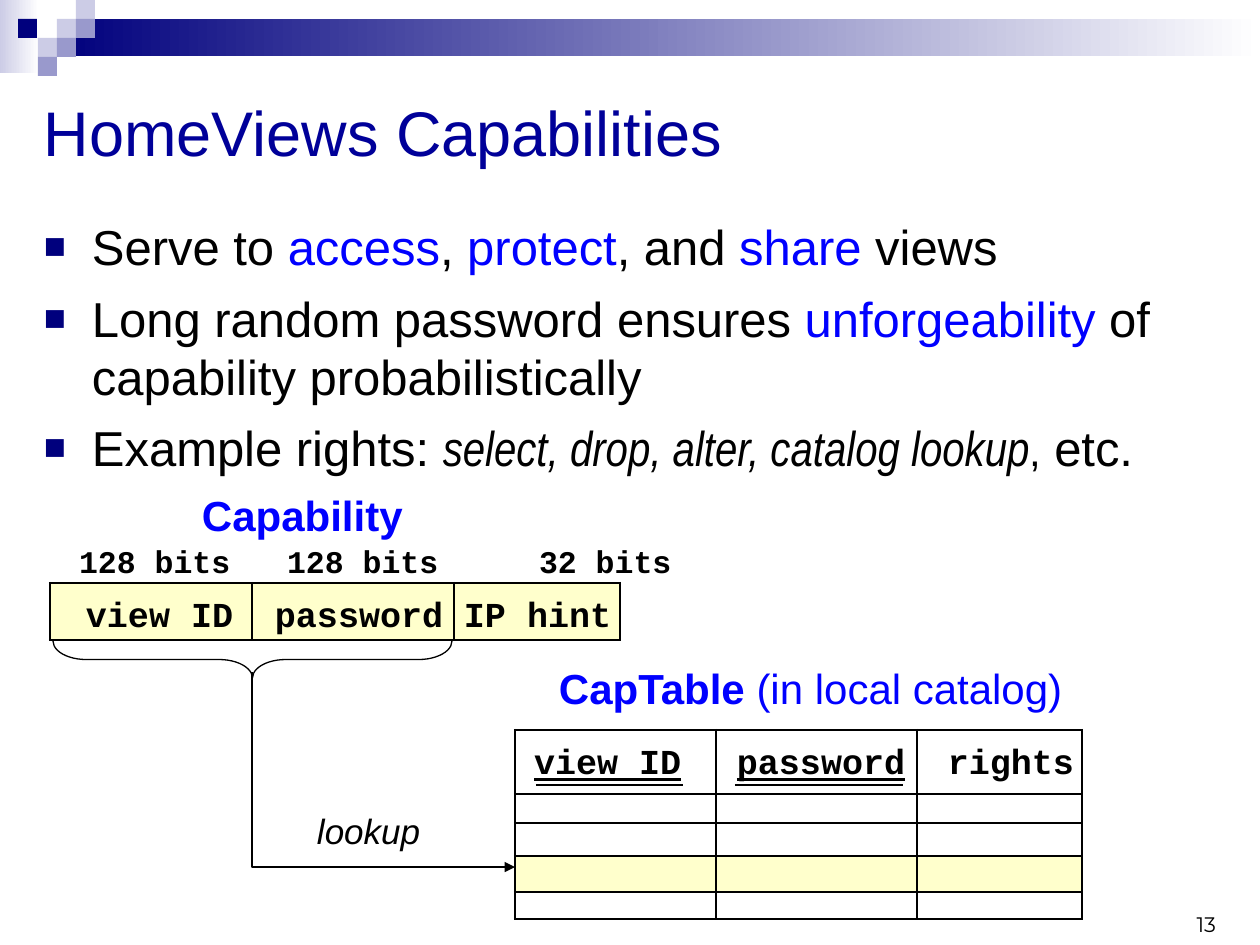
from dataclasses import dataclass
from typing import Optional

from lxml.etree import SubElement
from pptx import Presentation
from pptx.dml.color import RGBColor
from pptx.enum.shapes import MSO_CONNECTOR as Connector, MSO_SHAPE as Preset
from pptx.enum.text import MSO_ANCHOR as Anchor, PP_ALIGN as Align
from pptx.oxml import parse_xml
from pptx.oxml.ns import nsdecls, qn
from pptx.util import Pt

EMU_PER_PX = 914400 / 126
BLACK = RGBColor(0x00, 0x00, 0x00)
WHITE = RGBColor(0xFF, 0xFF, 0xFF)
NAVY = RGBColor(0x00, 0x00, 0x7D)
TITLE_BLUE = RGBColor(0x00, 0x00, 0x99)
BLUE = RGBColor(0x00, 0x00, 0xFF)
LAVENDER = RGBColor(0xCC, 0xCC, 0xE6)
VIOLET = RGBColor(0x99, 0x99, 0xCC)
CREAM = RGBColor(0xFF, 0xFF, 0xCC)


def px(length: float) -> int:
    return round(length * EMU_PER_PX)


@dataclass
class Run:
    text: str
    size: int = 28
    color: RGBColor = BLACK
    name: str = "Arial"
    bold: bool = False
    italic: bool = False
    underline: bool = False


@dataclass
class Label:
    box: tuple
    runs: list
    align: Align = Align.LEFT


@dataclass
class Grid:
    left: int
    top: int
    widths: list
    heights: list
    texts: list
    indents: list
    text_drop: int
    filled_row: int
    underlined: tuple = ()


def set_format(target, values: dict) -> None:
    for key, value in values.items():
        setattr(target, key, value)


def write_runs(paragraph, runs: list) -> None:
    for item in runs:
        run = paragraph.add_run()
        run.text = item.text
        set_format(run.font, {"name": item.name, "size": Pt(item.size), "bold": item.bold,
                              "italic": item.italic, "underline": item.underline})
        run.font.color.rgb = item.color


def add_box(slide, box: tuple):
    frame = slide.shapes.add_textbox(*map(px, box)).text_frame
    set_format(frame, {"word_wrap": True, "vertical_anchor": Anchor.TOP, "margin_left": 0,
                       "margin_right": 0, "margin_top": 0, "margin_bottom": 0})
    return frame


def add_label(slide, label: Label) -> None:
    paragraph = add_box(slide, label.box).paragraphs[0]
    paragraph.alignment = label.align
    write_runs(paragraph, label.runs)


def add_bullets(slide, box: tuple, items: list) -> None:
    frame = add_box(slide, box)
    for index, runs in enumerate(items):
        paragraph = frame.add_paragraph() if index else frame.paragraphs[0]
        paragraph.space_before = Pt(7 if index else 0)
        properties = paragraph._p.get_or_add_pPr()
        properties.set("marL", str(px(48)))
        properties.set("indent", str(px(-48)))
        color = SubElement(properties, qn("a:buClr"))
        SubElement(color, qn("a:srgbClr"), val=str(NAVY))
        SubElement(properties, qn("a:buSzPct"), val="75000")
        SubElement(properties, qn("a:buFont"), typeface="Arial")
        SubElement(properties, qn("a:buChar"), char="■")
        write_runs(paragraph, runs)


def add_block(slide, box: tuple, color: RGBColor, fade_to: Optional[RGBColor] = None) -> None:
    shape = slide.shapes.add_shape(Preset.RECTANGLE, *map(px, box))
    shape.shadow.inherit = False
    shape.line.fill.background()
    if fade_to is None:
        shape.fill.solid()
        shape.fill.fore_color.rgb = color
        return
    shape.fill.gradient()
    shape.fill.gradient_angle = 0
    for stop, stop_color in zip(shape.fill.gradient_stops, (color, fade_to)):
        stop.color.rgb = stop_color


def style_outline(shape) -> None:
    shape.shadow.inherit = False
    shape.fill.background()
    shape.line.color.rgb = BLACK
    shape.line.width = Pt(0.75)


def add_rule(slide, left: int, right: int, y: int) -> None:
    rule = slide.shapes.add_connector(Connector.STRAIGHT, px(left), px(y), px(right), px(y))
    rule.line.color.rgb = BLACK
    rule.line.width = Pt(1.25)
    SubElement(rule._element.spPr, qn("a:effectLst"))


def add_borders(cell) -> None:
    properties = cell._tc.get_or_add_tcPr()
    for index, side in enumerate(("lnL", "lnR", "lnT", "lnB")):
        properties.insert(index, parse_xml(
            f'<a:{side} {nsdecls("a")} w="{Pt(1.5)}"><a:solidFill>'
            f'<a:srgbClr val="{BLACK}"/></a:solidFill></a:{side}>'))


def add_grid(slide, grid: Grid) -> None:
    table = slide.shapes.add_table(
        len(grid.heights), len(grid.widths), px(grid.left), px(grid.top),
        px(sum(grid.widths)), px(sum(grid.heights))).table
    set_format(table, {"first_row": False, "horz_banding": False})
    for column, width in zip(table.columns, grid.widths):
        column.width = px(width)
    for row_index, height in enumerate(grid.heights):
        table.rows[row_index].height = px(height)
        for index, (text, indent) in enumerate(zip(grid.texts, grid.indents)):
            cell = table.cell(row_index, index)
            header = row_index == 0
            set_format(cell, {"margin_left": px(indent), "margin_right": 0, "margin_bottom": 0,
                              "margin_top": px(grid.text_drop) if header else 0,
                              "vertical_anchor": Anchor.MIDDLE})
            paragraph = cell.text_frame.paragraphs[0]
            if header:
                write_runs(paragraph, [Run(text, 20, name="Courier New", bold=True,
                                           underline=text in grid.underlined)])
            else:
                SubElement(paragraph._p, qn("a:endParaRPr"), sz="600")
            if row_index == grid.filled_row:
                cell.fill.solid()
                cell.fill.fore_color.rgb = CREAM
            else:
                cell.fill.background()
            add_borders(cell)


def bits(left: int, text: str) -> Label:
    return Label((left, 542, 160, 36), [Run(text, 18, name="Courier New", bold=True)])


BULLETS = [
    [Run("Serve to "), Run("access", color=BLUE), Run(", "), Run("protect", color=BLUE),
     Run(", and "), Run("share", color=BLUE), Run(" views")],
    [Run("Long random password ensures "), Run("unforgeability", color=BLUE),
     Run(" of capability probabilistically")],
    [Run("Example rights: "),
     Run("select, drop, alter, catalog lookup", name="Arial Narrow", italic=True),
     Run(",", 24), Run(" etc.")],
]
LABELS = [
    Label((44, 94, 1182, 76), [Run("HomeViews Capabilities", 36, TITLE_BLUE)]),
    Label((202, 490, 220, 50), [Run("Capability", 24, BLUE, bold=True)]),
    bits(79, "128 bits"), bits(287, "128 bits"), bits(539, "32 bits"),
    Label((559, 663, 540, 50),
          [Run("CapTable ", 24, BLUE, bold=True), Run("(in local catalog)", 24, BLUE)]),
    Label((317, 809, 132, 42), [Run("lookup", 20, italic=True)]),
    Label((1116, 912, 100, 26), [Run("13", 12, name="Montserrat")], Align.RIGHT),
]
CAPABILITY = Grid(50, 583, [202, 202, 166], [57], ["view ID", "password", "IP hint"],
                  [36, 23, 10], 14, filled_row=0)
CAP_TABLE = Grid(515, 730, [201, 201, 165], [64, 29, 33, 36, 27],
                 ["view ID", "password", "rights"], [19, 21, 31], 6, filled_row=3,
                 underlined=("view ID", "password"))
SQUARES = [(57, 19, LAVENDER), (76, 0, LAVENDER), (76, 19, VIOLET), (38, 38, LAVENDER),
           (18, 19, NAVY), (57, 38, VIOLET), (38, 57, VIOLET)]


def main() -> None:
    presentation = Presentation()
    set_format(presentation, {"slide_width": px(1260), "slide_height": px(945)})
    slide = presentation.slides.add_slide(presentation.slide_layouts[6])

    # Header decoration
    add_block(slide, (0, 0, 39, 73), LAVENDER, WHITE)
    add_block(slide, (57, 19, 1203, 37), NAVY, WHITE)
    for left, top, color in SQUARES:
        add_block(slide, (left, top, 19, 19), color)

    # Text
    add_bullets(slide, (44, 217, 1182, 264), BULLETS)
    for label in LABELS:
        add_label(slide, label)

    # Capability record and catalog table with doubled key underlines
    add_grid(slide, CAPABILITY)
    add_grid(slide, CAP_TABLE)
    add_rule(slide, 536, 683, 785)
    add_rule(slide, 735, 903, 785)

    # Brace under the two keys and the lookup arrow
    brace = slide.shapes.add_shape(Preset.LEFT_BRACE, px(234), px(460), px(37), px(399))
    brace.rotation = 270
    brace.adjustments[0] = 0.9
    style_outline(brace)
    builder = slide.shapes.build_freeform(252, 672, scale=EMU_PER_PX)
    builder.add_line_segments([(252, 867), (515, 867)], close=False)
    arrow = builder.convert_to_shape()
    style_outline(arrow)
    SubElement(arrow.line._get_or_add_ln(), qn("a:tailEnd"), type="triangle")

    presentation.save("out.pptx")


if __name__ == "__main__":
    main()
